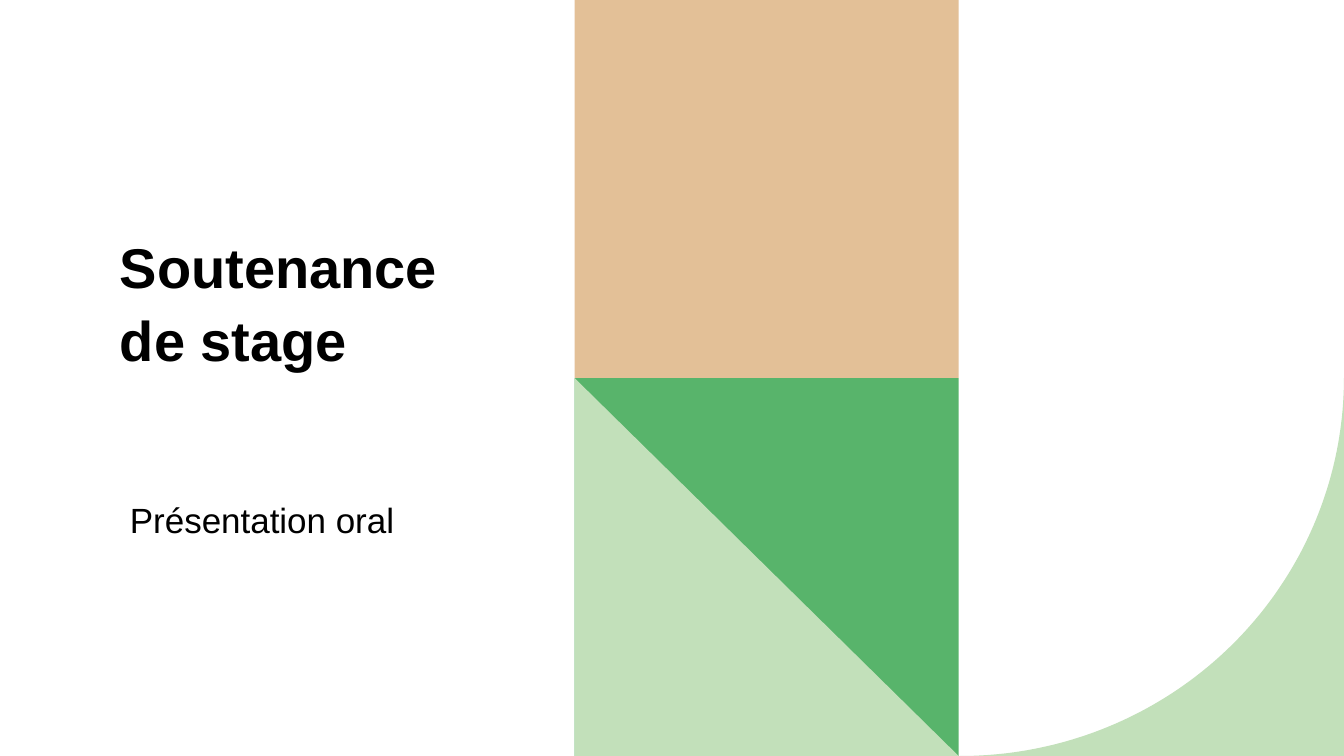
import math

import pptx
import pptx.dml.color
import pptx.enum.shapes
import pptx.enum.text
import pptx.util
from pptx.util import Cm

SLIDE_WIDTH, SLIDE_HEIGHT = 33.87, 19.05
MIDDLE = SLIDE_HEIGHT / 2
BAND_LEFT, BAND_RIGHT = 14.48, 24.16
CURVE_LEFT = 24.2
SAND, GREEN, PALE_GREEN = "E3C097", "58B46B", "C2E0BA"


def paint(shape, color):
    shape.shadow.inherit = False
    shape.fill.solid()
    shape.fill.fore_color.rgb = pptx.dml.color.RGBColor.from_string(color)
    shape.line.fill.background()


def add_outline(points, color):
    corners = [(Cm(x), Cm(y)) for x, y in points]
    builder = slide.shapes.build_freeform(*corners[0])
    builder.add_line_segments(corners[1:], close=True)
    paint(builder.convert_to_shape(), color)


deck = pptx.Presentation()
deck.slide_width = Cm(SLIDE_WIDTH)
deck.slide_height = Cm(SLIDE_HEIGHT)
slide = deck.slides.add_slide(deck.slide_layouts[0])

# Title and subtitle
anchors = pptx.enum.text.MSO_ANCHOR
texts = [
    (slide.shapes.title, "Soutenance de stage", (2.77, 0.74, 8.97, 8.79),
     anchors.BOTTOM, 40, True, 1.1),
    (slide.placeholders[1], "Présentation oral", (3.02, 12.22, 8.97, 2.74),
     anchors.TOP, 25, False, 1.2),
]
for box, text, place, anchor, size, bold, spacing in texts:
    box.left, box.top, box.width, box.height = map(Cm, place)
    frame = box.text_frame
    frame.text = text
    frame.word_wrap = True
    frame.auto_size = pptx.enum.text.MSO_AUTO_SIZE.NONE
    frame.vertical_anchor = anchor
    para = frame.paragraphs[0]
    para.alignment = pptx.enum.text.PP_ALIGN.LEFT
    para.line_spacing = spacing
    para.space_before = pptx.util.Pt(0)
    para.font.name = "Arial"
    para.font.size = pptx.util.Pt(size)
    para.font.bold = bold
    para.font.color.rgb = pptx.dml.color.RGBColor.from_string("000000")

# Two stacked tiles in the centre band
for top, color in [(0, SAND), (MIDDLE, GREEN)]:
    tile = slide.shapes.add_shape(
        pptx.enum.shapes.MSO_SHAPE.RECTANGLE,
        Cm(BAND_LEFT), Cm(top), Cm(BAND_RIGHT - BAND_LEFT), Cm(MIDDLE))
    paint(tile, color)

# Pale triangle over the lower tile
add_outline([(BAND_LEFT, MIDDLE), (BAND_RIGHT, SLIDE_HEIGHT),
             (BAND_LEFT, SLIDE_HEIGHT)], PALE_GREEN)

# Bottom-right corner cut out by a quarter ellipse
quarter = [
    (CURVE_LEFT + (SLIDE_WIDTH - CURVE_LEFT) * math.cos(math.radians(angle)),
     MIDDLE + MIDDLE * math.sin(math.radians(angle)))
    for angle in range(91)
]
add_outline(quarter + [(SLIDE_WIDTH, SLIDE_HEIGHT)], PALE_GREEN)

deck.save("out.pptx")
